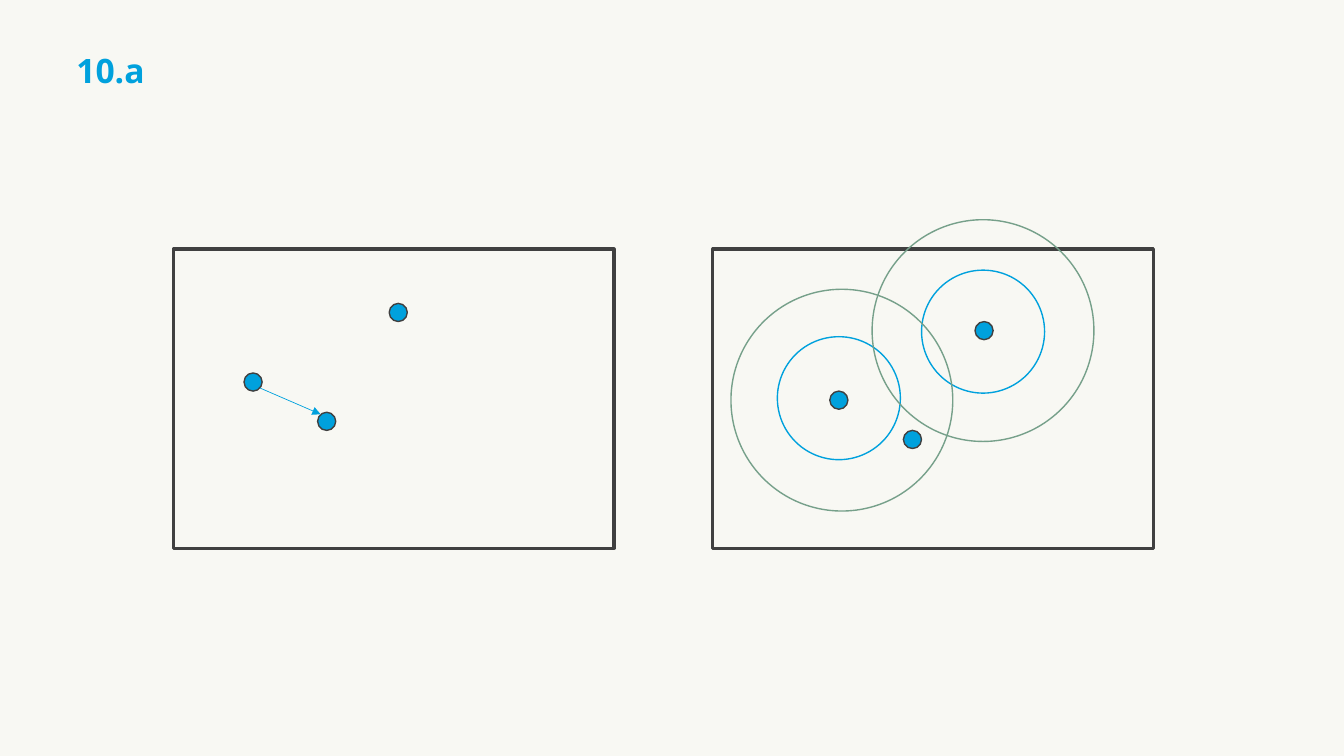
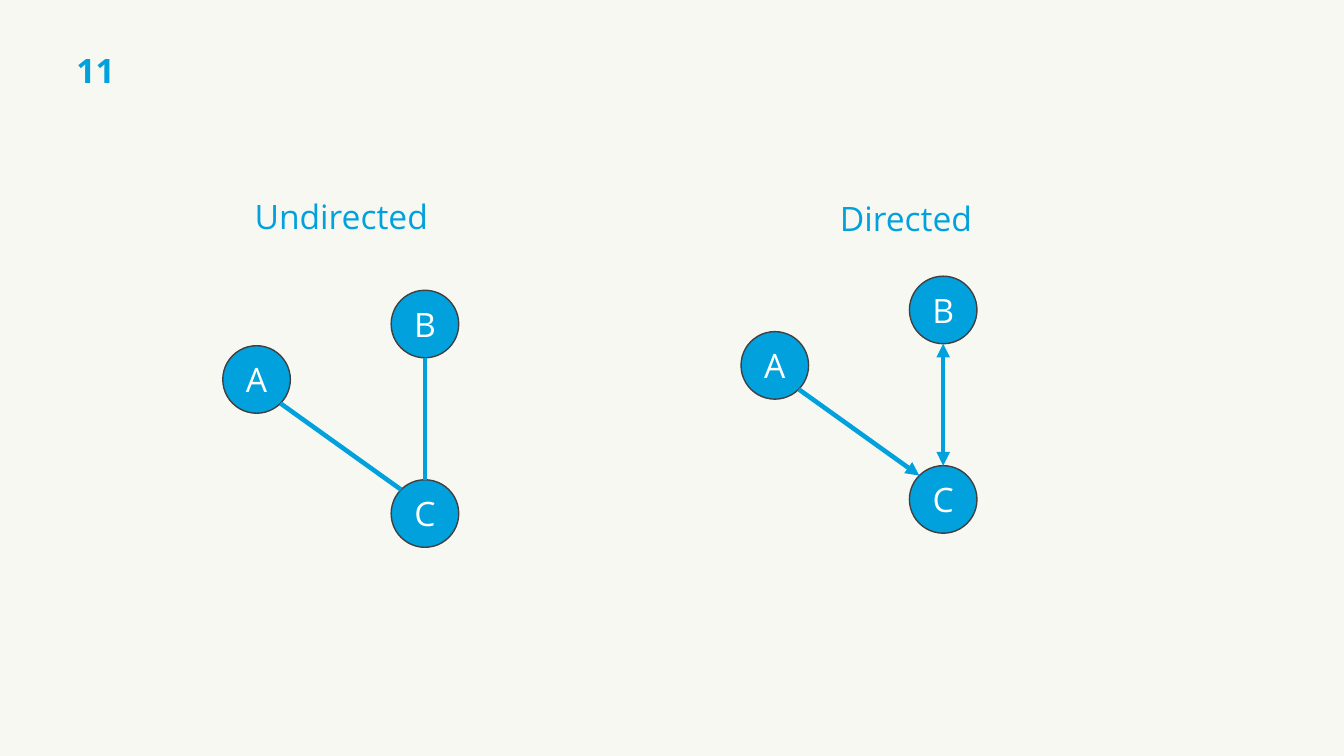
from math import sqrt

from lxml import etree
from pptx import Presentation
from pptx.dml.color import RGBColor
from pptx.enum.shapes import MSO_CONNECTOR, MSO_SHAPE
from pptx.enum.text import MSO_ANCHOR, MSO_AUTO_SIZE, PP_ALIGN
from pptx.oxml.ns import qn
from pptx.util import Pt

STRAIGHT = MSO_CONNECTOR.STRAIGHT
RECTANGLE, OVAL = MSO_SHAPE.RECTANGLE, MSO_SHAPE.OVAL
MIDDLE = MSO_ANCHOR.MIDDLE
GROW = MSO_AUTO_SIZE.SHAPE_TO_FIT_TEXT
LEFT, CENTER = PP_ALIGN.LEFT, PP_ALIGN.CENTER

EMU_PER_PX = 9144  # 100 px to the inch
SLIDE_WIDTH, SLIDE_HEIGHT = 1333, 750
FONT, TEXT_SIZE = "Open Sans", 24
PAPER, BLUE, GREEN, DARK, WHITE = "F8F8F3", "00A1DD", "76A08A", "404040", "FFFFFF"

PANEL_SIZE = (437, 297)
POINT_SIZE, INNER_RING, OUTER_RING = 18, 122, 220
NODE_SIZE = 67
NODE_OFFSETS = {"A": (0, 55), "B": (167, 0), "C": (167, 188)}


def px(length):
    return round(length * EMU_PER_PX)


def color(hex_code):
    return RGBColor.from_string(hex_code)


# Basic parts
def add_outline(slide, kind, box, line, weight=1, fill=None):
    outline = slide.shapes.add_shape(kind, *map(px, box))
    outline.shadow.inherit = False
    if fill:
        outline.fill.solid()
        outline.fill.fore_color.rgb = color(fill)
    else:
        outline.fill.background()
    outline.line.color.rgb = color(line)
    outline.line.width = Pt(weight)
    return outline


def add_circle(slide, center, diameter, line, fill=None):
    x, y = center
    box = (x - diameter / 2, y - diameter / 2, diameter, diameter)
    return add_outline(slide, OVAL, box, line, fill=fill)


def add_edge(slide, start, end, weight, arrows=()):
    edge = slide.shapes.add_connector(STRAIGHT, *map(px, (*start, *end)))
    edge.line.color.rgb = color(BLUE)
    edge.line.width = Pt(weight)
    line = edge.line._get_or_add_ln()
    for arrow in arrows:
        etree.SubElement(line, qn(f"a:{arrow}"), type="triangle")
    etree.SubElement(edge._element.spPr, qn("a:effectLst"))


def write(frame, text, hex_code, align=CENTER, bold=False):
    frame.word_wrap = True
    paragraph = frame.paragraphs[0]
    paragraph.alignment = align
    run = paragraph.add_run()
    run.text = text
    run.font.name = FONT
    run.font.size = Pt(TEXT_SIZE)
    run.font.bold = bold
    run.font.color.rgb = color(hex_code)


def add_label(slide, text, box, align=CENTER, bold=False):
    frame = slide.shapes.add_textbox(*map(px, box)).text_frame
    frame.auto_size = GROW
    write(frame, text, BLUE, align, bold)


def add_titled_slide(deck, title):
    slide = deck.slides.add_slide(deck.slide_layouts[6])
    add_label(slide, title, (66, 45, 157, 50), LEFT, True)
    return slide


# Regions
def add_point_panel(slide, origin, points, rings=(), arrow=None):
    """A framed field; points, rings and arrow are relative to its corner."""
    left, top = origin

    def place(spot):
        return left + spot[0], top + spot[1]

    add_outline(slide, RECTANGLE, (left, top, *PANEL_SIZE), DARK, 2.25)
    for point in points:
        add_circle(slide, place(point), POINT_SIZE, DARK, BLUE)
    for center, diameter, line in rings:
        add_circle(slide, place(center), diameter, line)
    if arrow:
        start, end = arrow
        add_edge(slide, place(start), place(end), 0.5, ["tailEnd"])


def add_graph(slide, origin, heading, heading_spot, ac_arrows=(), bc_arrows=()):
    """Nodes A, B, C with edges A-C and B-C, under a heading."""
    left, top = origin
    radius = NODE_SIZE / 2
    diagonal = radius / sqrt(2)
    centers = {name: (left + x + radius, top + y + radius)
               for name, (x, y) in NODE_OFFSETS.items()}
    (ax, ay), (bx, by), (cx, cy) = (centers[name] for name in "ABC")

    add_label(slide, heading, (*heading_spot, 327, 50))
    for name, center in centers.items():
        frame = add_circle(slide, center, NODE_SIZE, DARK, BLUE).text_frame
        frame.margin_left = frame.margin_right = 0
        frame.margin_top = frame.margin_bottom = 0
        frame.vertical_anchor = MIDDLE
        write(frame, name, WHITE)
    add_edge(slide, (ax + diagonal, ay + diagonal),
             (cx - diagonal, cy - diagonal), 3.25, ac_arrows)
    add_edge(slide, (bx, by + radius), (cx, cy - radius), 3.25, bc_arrows)


# Slides
def build_points_slide(deck):
    slide = add_titled_slide(deck, "10.a")
    points = [(79, 132), (152, 171), (223, 63)]
    shifted = [(x + 46, y + 18) for x, y in points]
    rings = [((125, 148), INNER_RING, BLUE), ((268, 82), INNER_RING, BLUE),
             ((268, 81), OUTER_RING, GREEN), ((128, 150), OUTER_RING, GREEN)]
    add_point_panel(slide, (172, 247), points, arrow=((86, 138), (146, 164)))
    add_point_panel(slide, (707, 247), shifted, rings)


def build_graphs_slide(deck):
    slide = add_titled_slide(deck, "11")
    add_graph(slide, (221, 288), "Undirected", (175, 189))
    add_graph(slide, (735, 274), "Directed", (735, 191),
              ["tailEnd"], ["headEnd", "tailEnd"])


def main():
    deck = Presentation()
    deck.slide_width, deck.slide_height = px(SLIDE_WIDTH), px(SLIDE_HEIGHT)
    backdrop = deck.slide_master.background.fill
    backdrop.solid()
    backdrop.fore_color.rgb = color(PAPER)
    build_points_slide(deck)
    build_graphs_slide(deck)
    deck.save("out.pptx")


if __name__ == "__main__":
    main()
